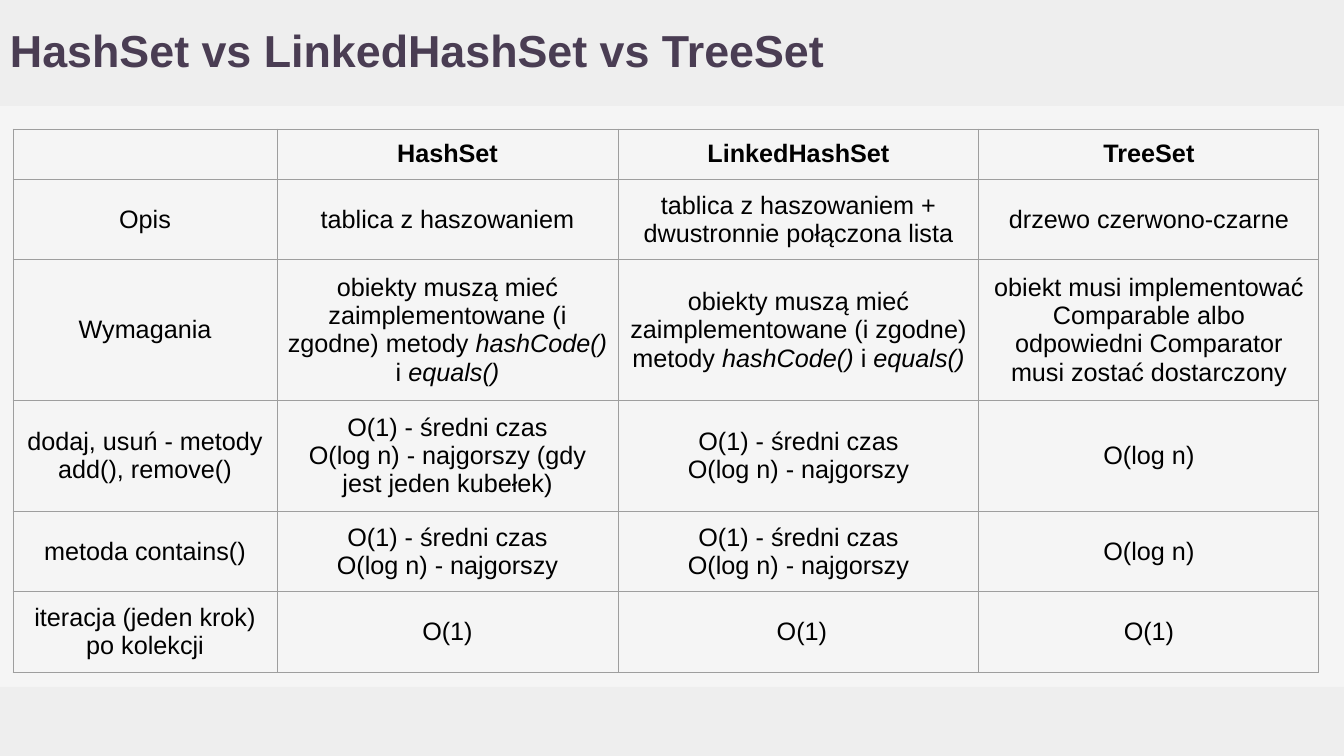
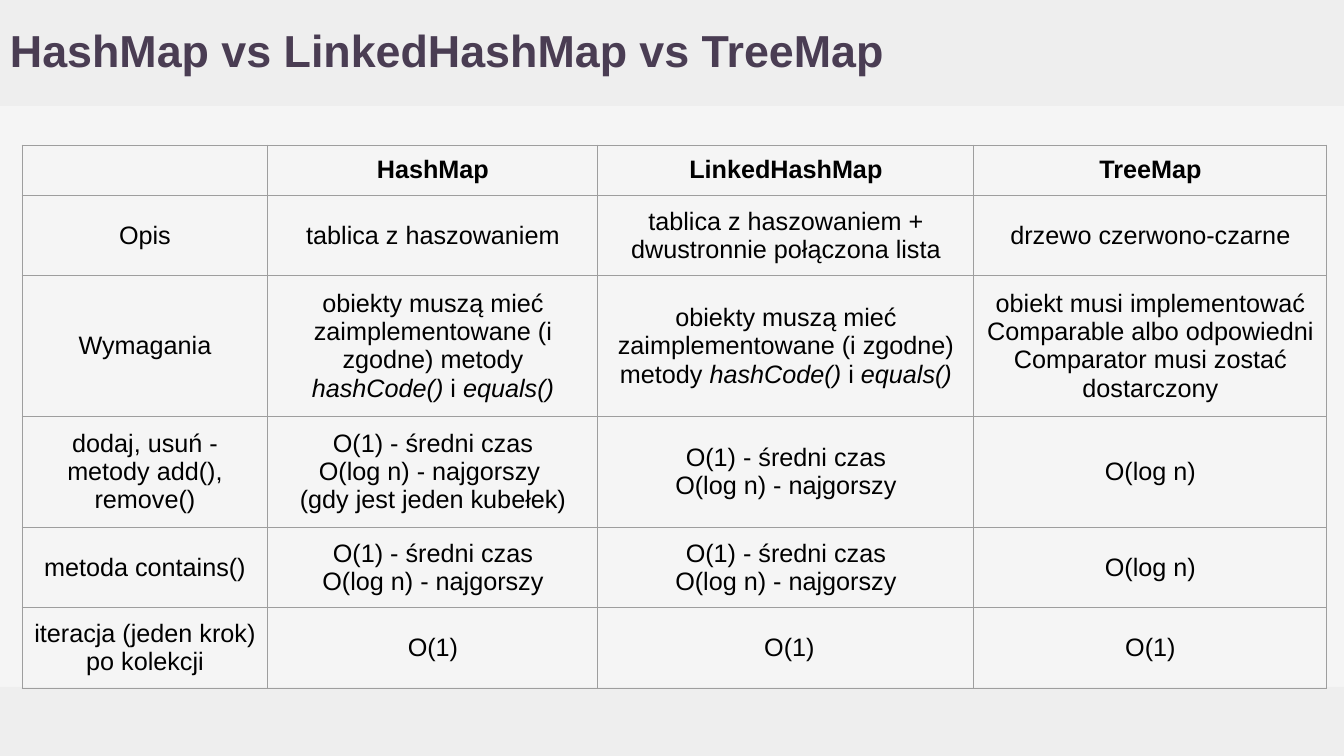
from lxml import etree
from pptx import Presentation
from pptx.dml.color import RGBColor
from pptx.enum.shapes import MSO_SHAPE
from pptx.enum.text import MSO_ANCHOR, PP_ALIGN
from pptx.oxml.ns import qn
from pptx.util import Emu, Pt

RECTANGLE = MSO_SHAPE.RECTANGLE
MIDDLE = MSO_ANCHOR.MIDDLE
LEFT, CENTER = PP_ALIGN.LEFT, PP_ALIGN.CENTER

SLIDE_WIDTH, SLIDE_HEIGHT = 1344, 756
EMU_PER_PX = 12192000 / SLIDE_WIDTH
TITLE_BAND = (0, 0, SLIDE_WIDTH, 106)
FOOTER_BAND = (0, 687, SLIDE_WIDTH, SLIDE_HEIGHT - 687)
TITLE_BOX = (0, 0, 1202, 106)
INSET = 10
HEADER_HEIGHT, ROW_HEIGHT = 42, 50
TABLE_HEIGHT = 331

FONT = "Arial"
BACKGROUND = "F5F5F5"
BAND = "EEEEEE"
TITLE_COLOR = "4A3D53"
TEXT_COLOR = "000000"
BORDER_COLOR = "9E9E9E"
BORDER_WIDTH = Pt(0.75)

HASH_NEEDS = "obiekty muszą mieć zaimplementowane (i zgodne) metody *hashCode()* i *equals()*"
TREE_NEEDS = ("obiekt musi implementować Comparable albo odpowiedni Comparator "
              "musi zostać dostarczony")
AVERAGE = "O(1) - średni czas"
WORST = "O(log n) - najgorszy"
HASH_TIMES = [AVERAGE, WORST]


def px(length):
    """Turn pixels into EMU."""
    return Emu(round(length * EMU_PER_PX))


def color(hex_value):
    """Turn a hex string into a colour."""
    return RGBColor.from_string(hex_value)


def set_insets(target):
    """Give a text frame or a cell equal margins."""
    target.margin_left = target.margin_right = px(INSET)
    target.margin_top = target.margin_bottom = px(INSET)


def write_lines(text_frame, lines, size, hex_value, bold, alignment, line_spacing=None):
    """Write one paragraph per line, with the parts between asterisks in italics."""
    for index, line in enumerate(lines):
        paragraph = text_frame.add_paragraph() if index else text_frame.paragraphs[0]
        paragraph.alignment = alignment
        paragraph.line_spacing = line_spacing
        for part_index, part in enumerate(line.split("*")):
            if part:
                run = paragraph.add_run()
                run.text = part
                run.font.name = FONT
                run.font.size = Pt(size)
                run.font.bold = bold
                run.font.italic = part_index % 2 == 1
                run.font.color.rgb = color(hex_value)


def add_band(slide, box):
    """Draw a plain band across the slide."""
    shape = slide.shapes.add_shape(RECTANGLE, *map(px, box))
    shape.shadow.inherit = False
    shape.fill.solid()
    shape.fill.fore_color.rgb = color(BAND)
    shape.line.fill.background()


def add_title(slide, box, title):
    """Place the slide title in its box."""
    text_frame = slide.shapes.add_textbox(*map(px, box)).text_frame
    text_frame.word_wrap = True
    text_frame.vertical_anchor = MIDDLE
    set_insets(text_frame)
    write_lines(text_frame, [title], 32, TITLE_COLOR, True, LEFT, 0.9)


def add_borders(cell):
    """Draw the four borders of a cell."""
    properties = cell._tc.get_or_add_tcPr()
    for side in ("a:lnL", "a:lnR", "a:lnT", "a:lnB"):
        line = etree.SubElement(properties, qn(side), w=str(BORDER_WIDTH))
        fill = etree.SubElement(line, qn("a:solidFill"))
        etree.SubElement(fill, qn("a:srgbClr"), val=BORDER_COLOR)


def add_comparison(slide, left, top, column_widths, rows):
    """Place the comparison table with its top left corner at a point."""
    box = (left, top, sum(column_widths), TABLE_HEIGHT)
    frame = slide.shapes.add_table(len(rows), len(column_widths), *map(px, box))
    table = frame.table
    table.first_row = table.horz_banding = False
    for column, width in zip(table.columns, column_widths):
        column.width = px(width)
    for row_index, row in enumerate(rows):
        table.rows[row_index].height = px(ROW_HEIGHT if row_index else HEADER_HEIGHT)
        for column_index, lines in enumerate(row):
            cell = table.cell(row_index, column_index)
            add_borders(cell)
            cell.fill.background()
            cell.vertical_anchor = MIDDLE
            set_insets(cell)
            write_lines(cell.text_frame, lines, 18, TEXT_COLOR, row_index == 0, CENTER)
    frame.height = px(TABLE_HEIGHT)


def comparison_rows(names, hash_changes):
    """List the table rows for three collections."""
    return [
        [[""]] + [[name] for name in names],
        [["Opis"], ["tablica z haszowaniem"],
         ["tablica z haszowaniem + dwustronnie połączona lista"],
         ["drzewo czerwono-czarne"]],
        [["Wymagania"], [HASH_NEEDS], [HASH_NEEDS], [TREE_NEEDS]],
        [["dodaj, usuń - metody add(), remove()"], hash_changes, HASH_TIMES, ["O(log n)"]],
        [["metoda contains()"], HASH_TIMES, HASH_TIMES, ["O(log n)"]],
        [["iteracja (jeden krok) po kolekcji"], ["O(1)"], [" O(1)"], ["O(1)"]],
    ]


def add_comparison_slide(presentation, names, left, top, column_widths, hash_changes):
    """Add a slide that compares three collections."""
    slide = presentation.slides.add_slide(presentation.slide_layouts[6])
    slide.background.fill.solid()
    slide.background.fill.fore_color.rgb = color(BACKGROUND)
    for band in (FOOTER_BAND, TITLE_BAND):
        add_band(slide, band)
    add_title(slide, TITLE_BOX, " vs ".join(names))
    add_comparison(slide, left, top, column_widths, comparison_rows(names, hash_changes))


def main():
    """Build and save the presentation."""
    presentation = Presentation()
    presentation.slide_width = px(SLIDE_WIDTH)
    presentation.slide_height = px(SLIDE_HEIGHT)
    add_comparison_slide(
        presentation, ["HashSet", "LinkedHashSet", "TreeSet"],
        13, 129, [264, 341, 361, 340],
        [AVERAGE, WORST + " (gdy jest jeden kubełek)"])
    add_comparison_slide(
        presentation, ["HashMap", "LinkedHashMap", "TreeMap"],
        22, 145, [246, 330, 376, 353],
        [AVERAGE, WORST + " ", "(gdy jest jeden kubełek)"])
    presentation.save("out.pptx")


if __name__ == "__main__":
    main()
